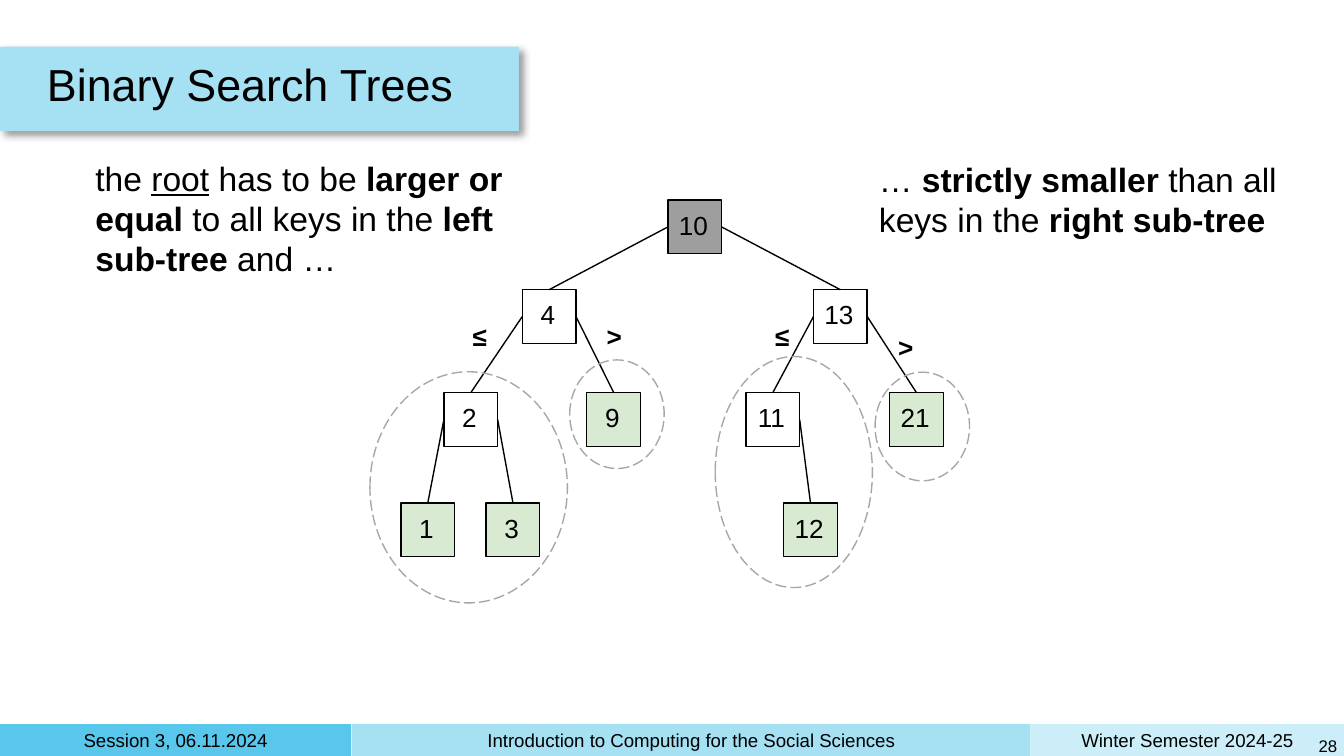
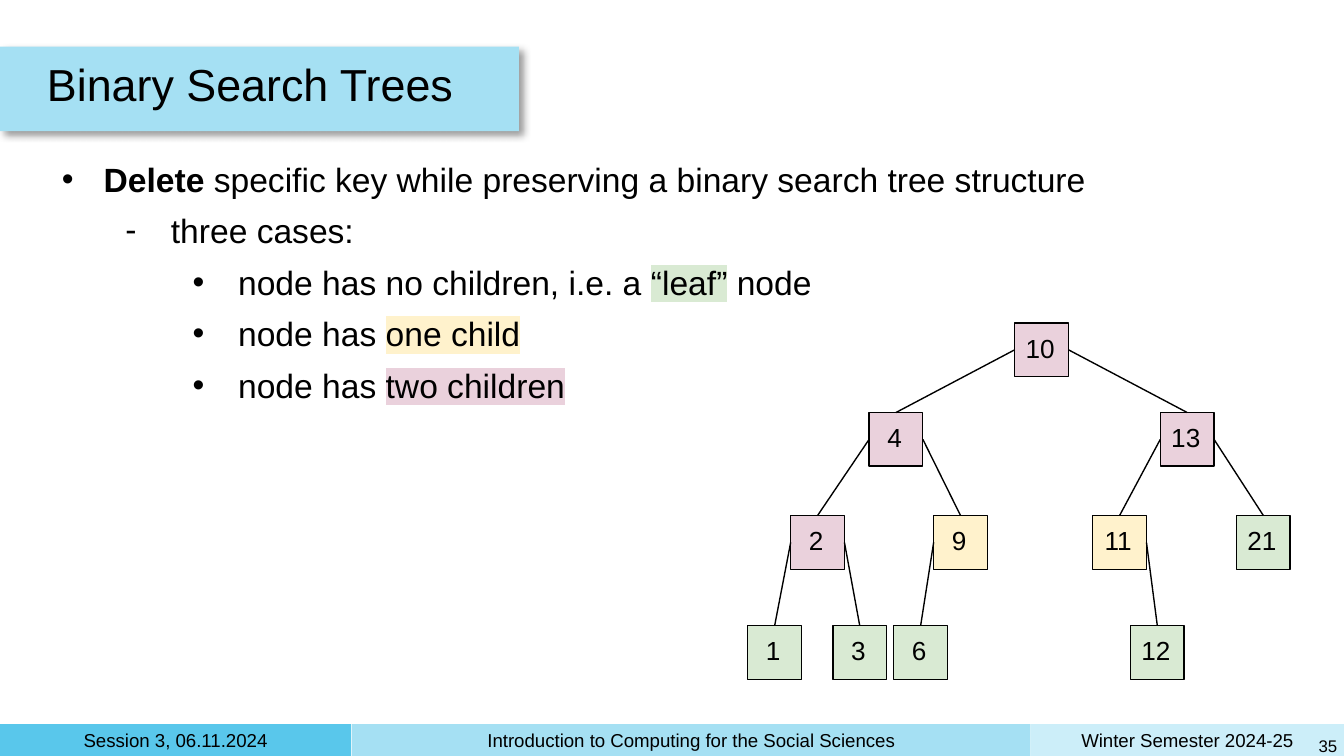
import pptx
import pptx.dml.color
import pptx.enum.dml
import pptx.enum.shapes
import pptx.enum.text
import pptx.oxml
import pptx.oxml.ns
import pptx.util
from lxml import etree

Pt = pptx.util.Pt
SHAPE = pptx.enum.shapes.MSO_SHAPE
ALIGN = pptx.enum.text.PP_ALIGN
ANCHOR = pptx.enum.text.MSO_ANCHOR
qn = pptx.oxml.ns.qn

# Shared style
FONT = "Arial"
BLACK, WHITE, ROOT_GREY, DASH_GREY = "000000", "FFFFFF", "9E9E9E", "A7A7A7"
BAND_DARK, BAND, BAND_LIGHT = "59C7EB", "A5E0F3", "CCEEF9"
LEAF, ONE_CHILD, TWO_CHILDREN = "D9EAD3", "FFF2CC", "EAD1DC"
FOOTERS = [
    (0, 188, BAND_DARK, "Session 3, 06.11.2024"),
    (188.3, 363.7, BAND, "Introduction to Computing for the Social Sciences"),
    (552, 168, BAND_LIGHT, "Winter Semester 2024-25"),
]
PAD = (3.6, 3.6, 3.6, 3.6)
WIDE_PAD = (7.2, 7.2, 7.2, 7.2)
NODE_PAD = (5.6, 0, 7.2, 2.2)

# Search tree: left edge relative to the root, tops by depth, parent of each key
NODE = 28.8
LEVEL_TOPS = [0, 48, 103.2, 162.2]
OFFSETS = [
    {10: 0},
    {4: -78, 13: 78},
    {2: -120, 9: -43.4, 11: 41.8, 21: 118.8},
    {1: -143, 3: -97.4, 12: 62, 6: -64.8},
]
PARENTS = {4: 10, 13: 10, 2: 4, 9: 4, 11: 13, 21: 13, 1: 2, 3: 2, 12: 11, 6: 9}


def rgb(value):
    return pptx.dml.color.RGBColor.from_string(value)


def sub(parent, tag, **attrs):
    return etree.SubElement(parent, qn(tag), attrs)


def style_run(r, size, bold=False, underline=False, highlight=None):
    r.font.size = Pt(size)
    r.font.bold = bold
    r.font.underline = underline
    r.font.color.rgb = rgb(BLACK)
    r.font.name = FONT
    if highlight:
        rpr = r.font._element
        mark = sub(rpr, "a:highlight")
        sub(mark, "a:srgbClr", val=highlight)
        rpr.find(qn("a:latin")).addprevious(mark)


def set_frame(tf, pad, anchor=ANCHOR.MIDDLE):
    tf.word_wrap = True
    tf.vertical_anchor = anchor
    tf.margin_left, tf.margin_top, tf.margin_right, tf.margin_bottom = map(Pt, pad)


def write(tf, text, size, align=ALIGN.LEFT, **style):
    tf.text = text
    p = tf.paragraphs[0]
    p.alignment = align
    style_run(p.runs[0], size, **style)
    return p


def add_runs(p, parts, size=18):
    for text, style in parts:
        r = p.add_run()
        r.text = text
        style_run(r, size, **style)


def add_box(s, x, y, w, h, pad=PAD, anchor=ANCHOR.MIDDLE):
    sp = s.shapes.add_textbox(Pt(x), Pt(y), Pt(w), Pt(h))
    set_frame(sp.text_frame, pad, anchor)
    return sp.text_frame


def add_shape(s, kind, x, y, w, h, fill=None, line=None):
    sp = s.shapes.add_shape(kind, Pt(x), Pt(y), Pt(w), Pt(h))
    sp.shadow.inherit = False
    if fill:
        sp.fill.solid()
        sp.fill.fore_color.rgb = rgb(fill)
    else:
        sp.fill.background()
    if line:
        sp.line.color.rgb = rgb(line)
        sp.line.width = Pt(0.75)
    else:
        sp.line.fill.background()
    return sp


def add_line(s, x1, y1, x2, y2):
    c = s.shapes.add_connector(pptx.enum.shapes.MSO_CONNECTOR.STRAIGHT,
                               Pt(x1), Pt(y1), Pt(x2), Pt(y2))
    c.line.color.rgb = rgb(BLACK)
    c.line.width = Pt(0.75)
    sub(c._element.spPr, "a:effectLst")


def add_shadow(sp):
    effects = sp._element.spPr.find(qn("a:effectLst"))
    outer = sub(effects, "a:outerShdw", blurRad=str(Pt(4)), dist=str(Pt(3)),
                dir="2700000", algn="tl", rotWithShape="0")
    color = sub(outer, "a:srgbClr", val=BLACK)
    sub(color, "a:alpha", val="40000")


def add_base(prs, title, number):
    s = prs.slides.add_slide(prs.slide_layouts[6])
    for x, w, color, text in FOOTERS:
        add_shape(s, SHAPE.RECTANGLE, x, 388, w, 17, color)
        write(add_box(s, x + 3.6, 389.5, w - 7.2, 14), text, 10, ALIGN.CENTER)
    add_shadow(add_shape(s, SHAPE.RECTANGLE, 0, 25, 278, 45.2, BAND))
    p = write(add_box(s, 21.6, 25, 626.4, 45.2), title, 24)
    p.line_spacing = 0.8
    write(add_box(s, 702.5, 390.3, 17.5, 18), str(number), 9, ALIGN.RIGHT)
    return s


def add_tree(s, left, top, colors):
    """Draw the keys listed in colors, then the edges between them."""
    places = {}
    for y, level in zip(LEVEL_TOPS, OFFSETS):
        for key, x in level.items():
            if key in colors:
                places[key] = (left + x, top + y)
    for key, (x, y) in places.items():
        sp = add_shape(s, SHAPE.RECTANGLE, x, y, NODE, NODE, colors[key], BLACK)
        set_frame(sp.text_frame, NODE_PAD)
        write(sp.text_frame, str(key), 14, ALIGN.CENTER)
    for key, parent in PARENTS.items():
        if key in places:
            px, py = places[parent]
            x, y = places[key]
            side = px if key <= parent else px + NODE
            add_line(s, side, py + NODE / 2, x + NODE / 2, y)


def add_bullet(p, level, char, parts):
    p.level = level
    if level:
        p.space_before = Pt(6)
    ppr = p._p.get_or_add_pPr()
    ppr.set("marL", str(Pt(22.4 + 36 * level)))
    ppr.set("indent", str(Pt(-24.4 if level else -24.6)))
    sub(sub(ppr, "a:buClr"), "a:srgbClr", val=BLACK)
    sub(ppr, "a:buFont", typeface=FONT)
    sub(ppr, "a:buChar", char=char)
    add_runs(p, parts)


def build_ordering(prs):
    s = add_base(prs, "Binary Search Trees", 28)
    colors = {10: ROOT_GREY, **dict.fromkeys([4, 13, 2, 11], WHITE),
              **dict.fromkeys([9, 21, 1, 3, 12], LEAF)}
    add_tree(s, 357.8, 107.2, colors)

    # Sub-tree outlines
    for x, y, w, h in [(468.8, 199.4, 50.6, 58.2), (198.2, 199.2, 105.8, 123.8),
                       (383.2, 191, 84.2, 123.8), (305.2, 192.8, 50.6, 58.2)]:
        sp = add_shape(s, SHAPE.OVAL, x, y, w, h, line=DASH_GREY)
        sp.line.dash_style = pptx.enum.dml.MSO_LINE.LONG_DASH

    # Comparison signs
    for x, y, sign in [(243.4, 167, "≤"), (315.4, 167, ">"),
                       (405.4, 167, "≤"), (471.6, 172.8, ">")]:
        write(add_box(s, x, y, NODE, NODE, NODE_PAD), sign, 14, ALIGN.CENTER, bold=True)

    # Rule in words
    bold = {"bold": True}
    rules = [
        (463.8, 77.8, 58.3, [("… ", {}), ("strictly smaller", bold),
                             (" than all keys in the ", {}), ("right sub-tree", bold)]),
        (44, 77.2, 80, [("the ", {}), ("root", {"underline": True}), (" has to be ", {}),
                        ("larger or equal", bold), (" to all keys in the ", {}),
                        ("left sub-tree", bold), (" and …", {})]),
    ]
    for x, y, h, parts in rules:
        tf = add_box(s, x, y, 236.2, h, WIDE_PAD, ANCHOR.TOP)
        add_runs(tf.paragraphs[0], parts)


def build_deletion(prs):
    s = add_base(prs, "Binary Search Trees", 35)
    bullets = [
        (0, "•", [("Delete", {"bold": True}),
                  (" specific key while preserving a binary search tree structure", {})]),
        (1, "-", [("three cases:", {})]),
        (2, "•", [("node has no children, i.e. a ", {}),
                  ("“leaf”", {"highlight": LEAF}), (" node", {})]),
        (2, "•", [("node has ", {}), ("one child", {"highlight": ONE_CHILD})]),
        (2, "•", [("node has ", {}), ("two children", {"highlight": TWO_CHILDREN})]),
    ]
    tf = add_box(s, 29.6, 81.4, 661.6, 140.4, PAD, ANCHOR.TOP)
    for i, bullet in enumerate(bullets):
        add_bullet(tf.add_paragraph() if i else tf.paragraphs[0], *bullet)

    # Keys coloured by number of children
    child_colors = [LEAF, ONE_CHILD, TWO_CHILDREN]
    parents = list(PARENTS.values())
    add_tree(s, 543.6, 173, {key: child_colors[parents.count(key)]
                             for key in [10, *PARENTS]})


def main():
    prs = pptx.Presentation()
    prs.slide_width, prs.slide_height = Pt(720), Pt(405)
    build_ordering(prs)
    build_deletion(prs)
    prs.save("out.pptx")


if __name__ == "__main__":
    main()
